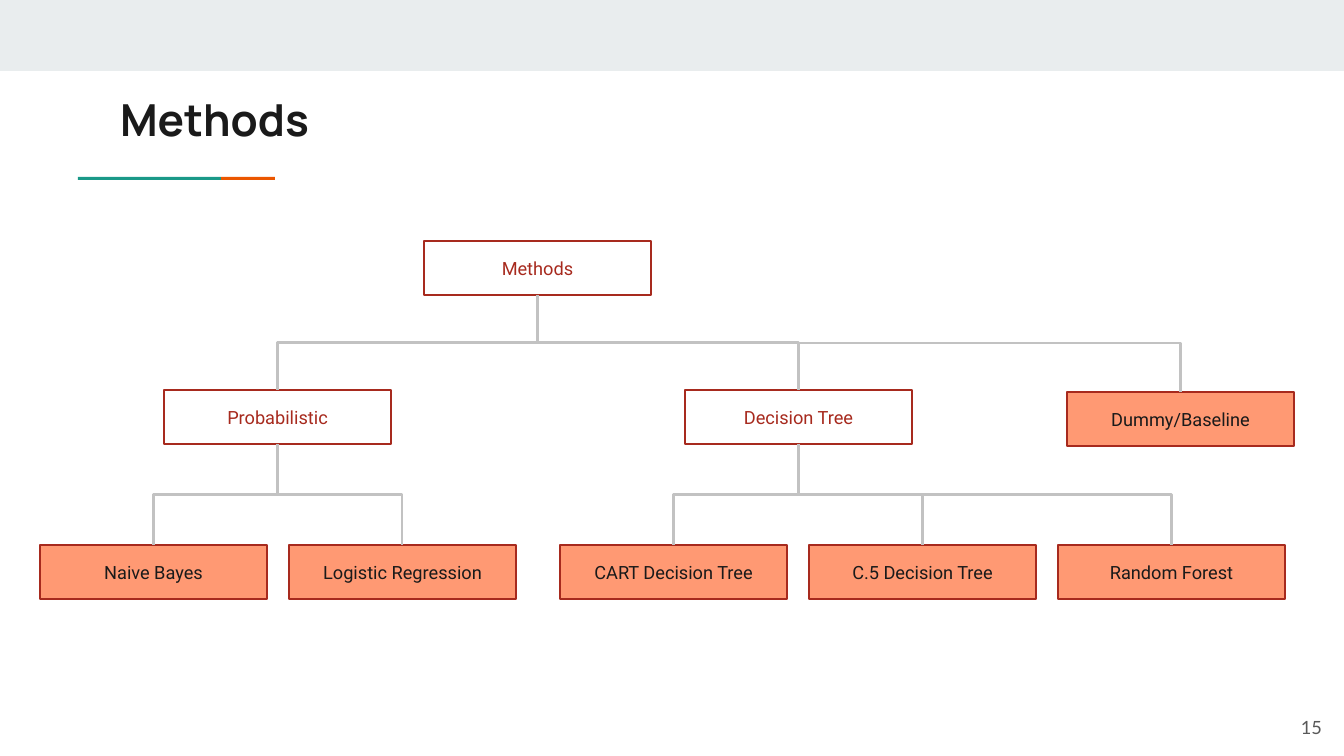
from dataclasses import dataclass

from pptx import Presentation
from pptx import util as u
from pptx.dml.color import RGBColor
from pptx.enum import shapes, text
from pptx.oxml.ns import qn
from lxml import etree

EMU_PER_PX = 914400 / 100.8


def px(length):
    return u.Emu(round(length * EMU_PER_PX))


@dataclass(frozen=True)
class Theme:
    band: str = "E9EDEE"
    teal: str = "1A9988"
    orange: str = "EB5600"
    ink: str = "1A1A1A"
    gray: str = "595959"
    branch: str = "C2C2C2"
    red: str = "A72A1E"
    salmon: str = "FF9973"
    title_size: float = 31.5
    body_size: float = 13
    line_width: float = 1.5
    title_font: str = "Manrope"
    box_font: str = "Roboto"
    number_font: str = "Lato"


class TreeSlide:
    BOX_WIDTH, BOX_HEIGHT, INSET = 227, 54, 13

    def __init__(self, deck, theme):
        self.theme = theme
        self.slide = deck.slides.add_slide(deck.slide_layouts[5])

    def set_text(self, holder, words, font, size, color, align, anchor, bold=False):
        frame = holder.text_frame
        frame.text = words
        frame.word_wrap = True
        frame.auto_size = text.MSO_AUTO_SIZE.NONE
        frame.vertical_anchor = anchor
        frame.margin_left = frame.margin_right = px(self.INSET)
        frame.margin_top = frame.margin_bottom = px(self.INSET)
        paragraph = frame.paragraphs[0]
        paragraph.alignment = align
        paragraph.font.name = font
        paragraph.font.size = u.Pt(size)
        paragraph.font.bold = bold
        paragraph.font.color.rgb = RGBColor.from_string(color)

    def title(self, words, left, top, width, height):
        heading = self.slide.shapes.title
        heading.left, heading.top = px(left), px(top)
        heading.width, heading.height = px(width), px(height)
        self.set_text(heading, words, self.theme.title_font, self.theme.title_size,
                      self.theme.ink, text.PP_ALIGN.LEFT, text.MSO_ANCHOR.TOP, True)

    def page_number(self, words, left, top, width, height):
        number = self.slide.shapes.add_textbox(px(left), px(top), px(width), px(height))
        self.set_text(number, words, self.theme.number_font, self.theme.body_size,
                      self.theme.gray, text.PP_ALIGN.RIGHT, text.MSO_ANCHOR.MIDDLE)

    def rectangle(self, left, top, width, height, fill=None, line=None):
        panel = self.slide.shapes.add_shape(
            shapes.MSO_SHAPE.RECTANGLE, px(left), px(top), px(width), px(height))
        panel.shadow.inherit = False
        if fill:
            panel.fill.solid()
            panel.fill.fore_color.rgb = RGBColor.from_string(fill)
        else:
            panel.fill.background()
        if line:
            panel.line.color.rgb = RGBColor.from_string(line)
            panel.line.width = u.Pt(self.theme.line_width)
        else:
            panel.line.fill.background()
        return panel

    def box(self, label, left, top, is_leaf):
        theme = self.theme
        node = self.rectangle(left, top, self.BOX_WIDTH, self.BOX_HEIGHT,
                              theme.salmon if is_leaf else None, theme.red)
        self.set_text(node, label, theme.box_font, theme.body_size,
                      theme.ink if is_leaf else theme.red,
                      text.PP_ALIGN.CENTER, text.MSO_ANCHOR.MIDDLE)
        return node

    def branch(self, parent, child):
        start_x, start_y = parent.left + parent.width // 2, parent.top + parent.height
        end_x, end_y = child.left + child.width // 2, child.top
        link = self.slide.shapes.add_connector(
            shapes.MSO_CONNECTOR.ELBOW, start_x, start_y, end_x, end_y)
        link.begin_connect(parent, 2)
        link.end_connect(child, 0)
        link.line.color.rgb = RGBColor.from_string(self.theme.branch)
        link.line.width = u.Pt(self.theme.line_width)
        drop, spread = end_y - start_y, abs(end_x - start_x)
        link.left = (start_x + end_x - drop) // 2
        link.top = (start_y + end_y - spread) // 2
        link.width, link.height = drop, spread
        properties = link._element.spPr
        frame = properties.find(qn("a:xfrm"))
        goes_right = end_x > start_x
        frame.set("rot", "16200000" if goes_right else "5400000")
        frame.set("flipH", "1" if goes_right else "0")
        etree.SubElement(properties, qn("a:effectLst"))

    def tree(self, label, left, top, children=()):
        node = self.box(label, left, top, not children)
        for child in children:
            self.branch(node, self.tree(*child))
        return node


def leaves(first_left, *labels):
    return [(label, first_left + 249 * i, 545) for i, label in enumerate(labels)]


def main():
    deck = Presentation()
    deck.slide_width, deck.slide_height = px(1344), px(756)
    theme = Theme()
    page = TreeSlide(deck, theme)
    page.rectangle(0, 0, 1344, 71, theme.band)
    page.rectangle(78, 177, 143, 3, theme.teal)
    page.rectangle(221, 177, 54, 3, theme.orange)
    page.title("Methods", 107, 79, 1130, 79)
    page.page_number("15", 1255, 699, 80, 57)
    page.tree("Methods", 424, 241, [
        ("Probabilistic", 164, 390,
         leaves(40, "Naive Bayes", "Logistic Regression")),
        ("Decision Tree", 685, 390,
         leaves(560, "CART Decision Tree", "C.5 Decision Tree", "Random Forest")),
        ("Dummy/Baseline", 1067, 392),
    ])
    deck.save("out.pptx")


if __name__ == "__main__":
    main()
